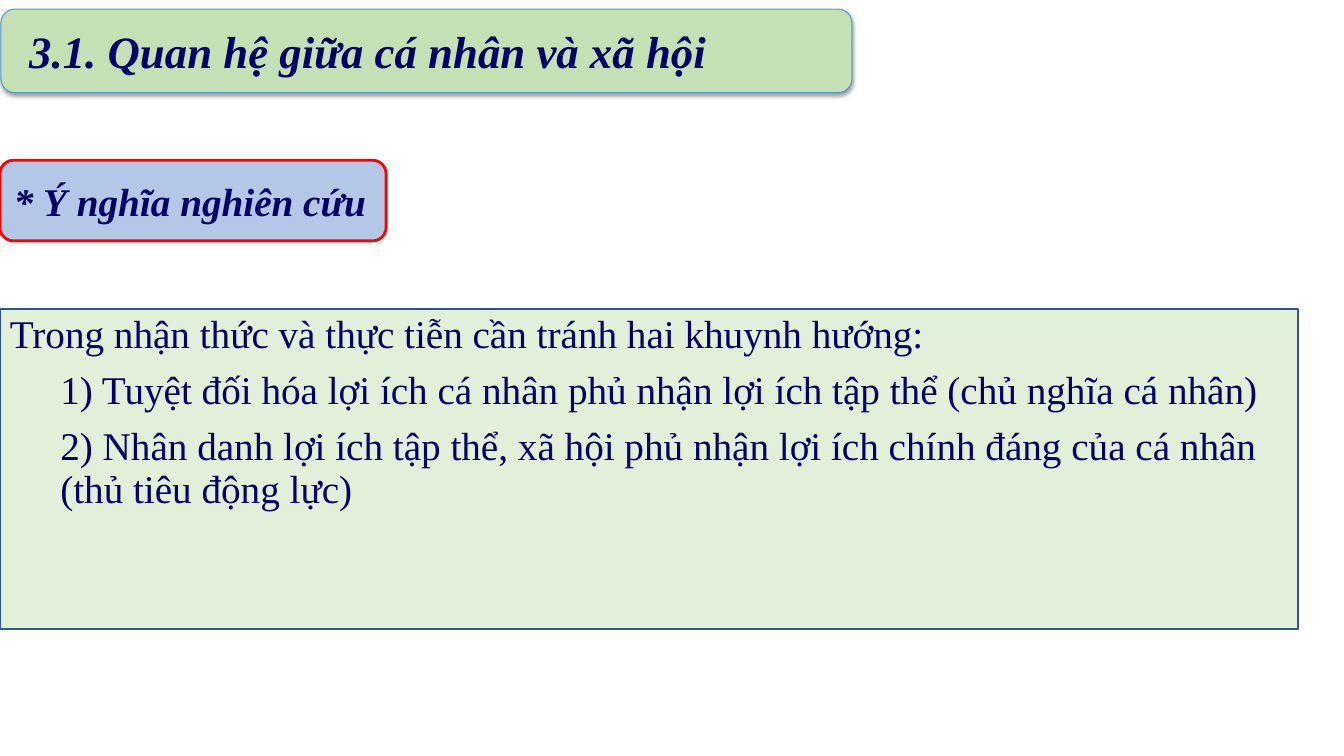
from lxml.etree import SubElement
from pptx import Presentation
from pptx.dml.color import RGBColor
from pptx.enum.shapes import MSO_SHAPE as Shape
from pptx.enum.text import MSO_ANCHOR as Anchor, PP_ALIGN as Align
from pptx.oxml.ns import qn
from pptx.util import Inches, Pt

HEADING = "3.1. Quan hệ giữa cá nhân và xã hội"
SUBHEADING = "* Ý nghĩa nghiên cứu"
INTRO = "Trong nhận thức và thực tiễn cần tránh hai khuynh hướng:"
TENDENCIES = [
    "1) Tuyệt đối hóa lợi ích cá nhân phủ nhận lợi ích tập thể (chủ nghĩa cá nhân)",
    "2) Nhân danh lợi ích tập thể, xã hội phủ nhận lợi ích chính đáng của cá nhân (thủ tiêu động lực)",
]

THEME = {
    "font": "Times New Roman",
    "ink": "000066",
    "heading_fill": "C5E0B4",
    "heading_line": "5698D3",
    "subheading_fill": "B4C7E7",
    "subheading_line": "FF0000",
    "body_fill": "E2F0D9",
    "body_line": "2F5597",
    "shadow": "000000",
    "heading_size": 32,
    "text_size": 28,
}


def add_panel(shapes, kind, box, fill, line=None, weight=0):
    panel = shapes.add_shape(kind, *(Inches(length) for length in box))
    panel.shadow.inherit = False
    panel.fill.solid()
    panel.fill.fore_color.rgb = RGBColor.from_string(THEME[fill])
    if line:
        panel.line.color.rgb = RGBColor.from_string(THEME[line])
        panel.line.width = Pt(weight)
    else:
        panel.line.fill.background()
    return panel


def add_shadow(panel):
    effects = panel._element.spPr.find(qn("a:effectLst"))
    shadow = SubElement(effects, qn("a:outerShdw"), blurRad=str(Pt(3.1)),
                        dist=str(Pt(1.6)), dir="5400000", rotWithShape="0")
    color = SubElement(shadow, qn("a:srgbClr"), val=THEME["shadow"])
    SubElement(color, qn("a:alpha"), val="38000")


def write(panel, lines, size, anchor, inset=(0.1, 0.05), strong=False):
    frame = panel.text_frame
    frame.word_wrap = True
    frame.vertical_anchor = anchor
    frame.margin_left = frame.margin_right = Inches(inset[0])
    frame.margin_top = frame.margin_bottom = Inches(inset[1])
    frame.text = "\n".join(lines)
    for paragraph in frame.paragraphs:
        paragraph.alignment = Align.LEFT
        for run in paragraph.runs:
            run.font.name = THEME["font"]
            run.font.size = Pt(THEME[size])
            run.font.bold = run.font.italic = strong
            run.font.color.rgb = RGBColor.from_string(THEME["ink"])
    return frame.paragraphs


def main():
    deck = Presentation()
    deck.slide_width, deck.slide_height = Inches(13.33), Inches(7.5)
    slide = deck.slides.add_slide(deck.slide_layouts[6])

    heading = slide.shapes.add_group_shape().shapes
    banner = add_panel(heading, Shape.ROUNDED_RECTANGLE, (0.01, 0.09, 8.44, 0.83),
                       "heading_fill", "heading_line", 0.75)
    add_shadow(banner)
    title = add_panel(heading, Shape.RECTANGLE, (0.06, 0.13, 8.33, 0.75), "heading_fill")
    write(title, [HEADING], "heading_size", Anchor.MIDDLE, (0.23, 0), strong=True)

    subheading = add_panel(slide.shapes, Shape.ROUNDED_RECTANGLE, (0, 1.59, 3.83, 0.8),
                           "subheading_fill", "subheading_line", 2)
    write(subheading, [SUBHEADING], "text_size", Anchor.MIDDLE, strong=True)

    body = add_panel(slide.shapes, Shape.RECTANGLE, (0, 3.07, 12.87, 3.17),
                     "body_fill", "body_line", 1.5)
    paragraphs = write(body, [INTRO, *TENDENCIES], "text_size", Anchor.TOP)
    for paragraph in paragraphs:
        paragraph.line_spacing = 0.9
    for tendency in paragraphs[1:]:
        tendency.space_before = Pt(10)
        tendency._p.get_or_add_pPr().set("marL", str(Inches(0.5)))

    deck.save("out.pptx")


if __name__ == "__main__":
    main()
